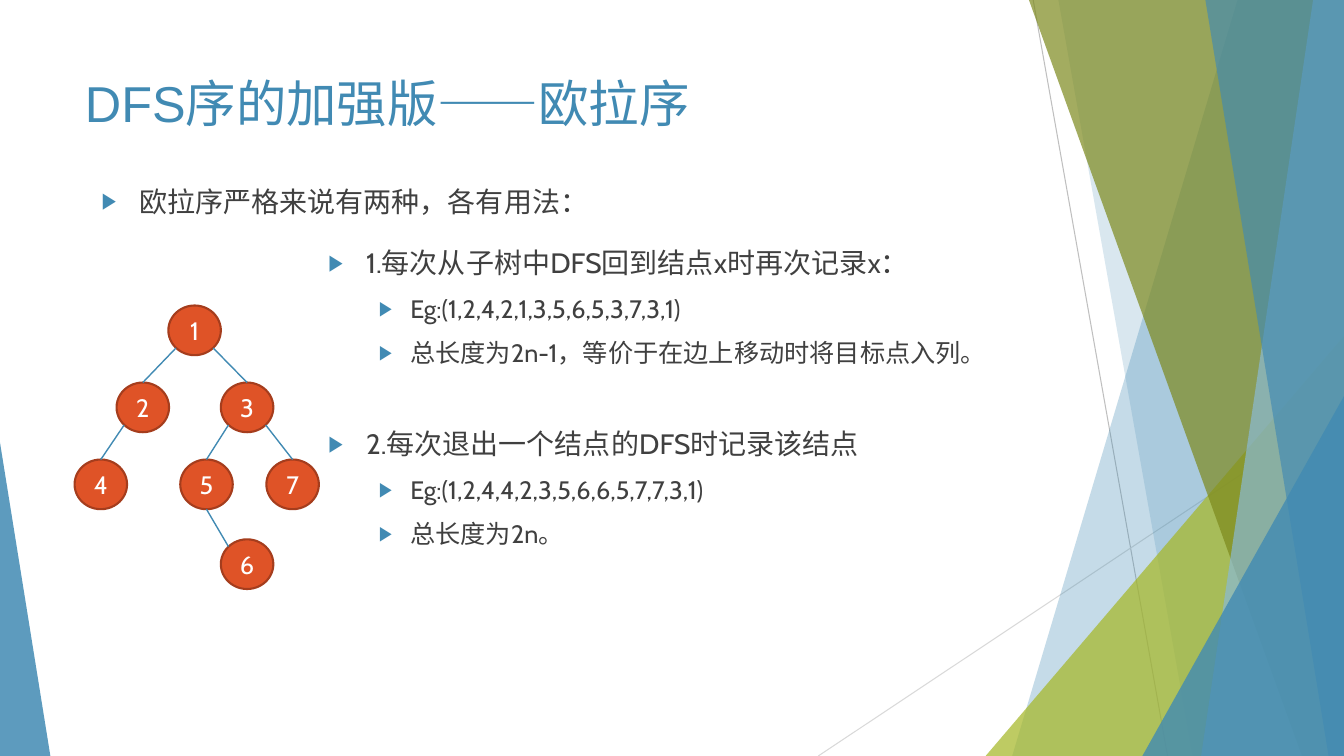
import pptx
import pptx.dml.color
import pptx.enum.shapes
import pptx.enum.text
import pptx.oxml.ns
import pptx.oxml.xmlchemy
import pptx.util
from lxml import etree

Pt = pptx.util.Pt
qn = pptx.oxml.ns.qn
rgb = pptx.dml.color.RGBColor.from_string
Shape = pptx.enum.shapes.MSO_SHAPE
Anchor = pptx.enum.text.MSO_ANCHOR
Align = pptx.enum.text.PP_ALIGN


class Theme:
    blue, sky = "418AB3", "8ABAD4"
    lime, olive = "A6B727", "7D891D"
    red, rust = "DF5327", "A53D1D"
    ink, white = "404040", "FFFFFF"
    gray, pale = "BFBFBF", "D9D9D9"
    head, body = "Arial", "Cabin"
    title, main, sub = 36, 20, 18


def add_line(x1, y1, x2, y2, color, width):
    line = slide.shapes.add_connector(
        pptx.enum.shapes.MSO_CONNECTOR.STRAIGHT, Pt(x1), Pt(y1), Pt(x2), Pt(y2))
    line.line.color.rgb = rgb(color)
    line.line.width = Pt(width)
    etree.SubElement(line._element.spPr, qn("a:effectLst"))
    return line


def add_list(left, top, width, height, rows):
    """Each row is (level, space before, text)."""
    box = slide.shapes.add_textbox(Pt(left), Pt(top), Pt(width), Pt(height))
    frame = box.text_frame
    frame.word_wrap = True
    frame.text = "\n".join(text for _, _, text in rows)
    for para, (level, space, _) in zip(frame.paragraphs, rows):
        para.level = level
        para.space_before = Pt(space)
        font = para.runs[0].font
        font.name = Theme.body
        font.size = Pt((Theme.main, Theme.sub)[level])
        font.color.rgb = rgb(Theme.ink)
        margin, hang = ((27, 27), (58.5, 22.5))[level]
        props = para._p.get_or_add_pPr()
        props.set("marL", str(Pt(margin)))
        props.set("indent", str(-Pt(hang)))
        tint = etree.SubElement(props, qn("a:buClr"))
        etree.SubElement(tint, qn("a:srgbClr"), val=Theme.blue)
        etree.SubElement(props, qn("a:buSzPct"), val="80000")
        etree.SubElement(props, qn("a:buFont"), typeface=Theme.head)
        etree.SubElement(props, qn("a:buChar"), char="▶")


deck = pptx.Presentation()
deck.slide_width, deck.slide_height = Pt(960), Pt(540)
slide = deck.slides.add_slide(deck.slide_layouts[5])

# Background lines
add_line(738, 0, 834, 540, Theme.gray, 0.75)
add_line(960, 290, 584.5, 540, Theme.pale, 0.75)

# Translucent facets: colour, opacity in percent, corners
facets = [
    (Theme.blue, 30, [(884, 0), (960, 0), (960, 540), (723, 540)]),
    (Theme.blue, 20, [(756, 0), (960, 0), (960, 540), (852, 540)]),
    (Theme.lime, 72, [(960, 240), (960, 540), (703.5, 540)]),
    (Theme.olive, 70, [(735, 0), (960, 0), (960, 540), (929.5, 540)]),
    (Theme.sky, 70, [(938, 0), (960, 0), (960, 540), (858, 540)]),
    (Theme.blue, 65, [(861, 0), (960, 0), (960, 540), (949, 540)]),
    (Theme.blue, 80, [(960, 283), (960, 540), (816.5, 540)]),
    (Theme.blue, 85, [(0, 316), (35.5, 540), (0, 540)]),
]
for color, alpha, points in facets:
    path = slide.shapes.build_freeform(*points[0], scale=float(Pt(1)))
    path.add_line_segments(points[1:], close=True)
    facet = path.convert_to_shape()
    facet.shadow.inherit = False
    facet.fill.solid()
    facet.fill.fore_color.rgb = rgb(color)
    facet.line.fill.background()
    tint = next(facet._element.spPr.iter(qn("a:srgbClr")))
    etree.SubElement(tint, qn("a:alpha"), val=str(alpha * 1000))

# Title
title = slide.shapes.title
title.left, title.top, title.width, title.height = Pt(53.5), Pt(48), Pt(677), Pt(68)
frame = title.text_frame
frame.text = "DFS序的加强版——欧拉序"
frame.auto_size = pptx.enum.text.MSO_AUTO_SIZE.NONE
frame.vertical_anchor = Anchor.TOP
para = frame.paragraphs[0]
para.alignment = Align.LEFT
font = para.runs[0].font
font.name = Theme.head
font.size = Pt(Theme.title)
font.color.rgb = rgb(Theme.blue)

# Two kinds of Euler tour
add_list(227.5, 172, 494, 345, [
    (0, 10, "1.每次从子树中DFS回到结点x时再次记录x："),
    (1, 10, "Eg:(1,2,4,2,1,3,5,6,5,3,7,3,1)"),
    (1, 10, "总长度为2n-1，等价于在边上移动时将目标点入列。"),
    (0, 42, "2.每次退出一个结点的DFS时记录该结点"),
    (1, 10, "Eg:(1,2,4,4,2,3,5,6,6,5,7,7,3,1)"),
    (1, 10, "总长度为2n。"),
])

# Tree nodes: centre of each
wide, high = 37.5, 35.5
spots = {1: (139, 236), 2: (102, 291), 3: (176.5, 291), 4: (72, 346),
         5: (147.5, 346), 6: (176.5, 403), 7: (209, 346)}
nodes = {}
for name, (x, y) in spots.items():
    node = slide.shapes.add_shape(
        Shape.OVAL, Pt(x - wide / 2), Pt(y - high / 2), Pt(wide), Pt(high))
    node.shadow.inherit = False
    node.fill.solid()
    node.fill.fore_color.rgb = rgb(Theme.red)
    node.line.color.rgb = rgb(Theme.rust)
    node.line.width = Pt(1.5)
    frame = node.text_frame
    frame.margin_left = frame.margin_right = 0
    frame.margin_top = frame.margin_bottom = 0
    frame.vertical_anchor = Anchor.MIDDLE
    frame.text = str(name)
    para = frame.paragraphs[0]
    para.alignment = Align.CENTER
    font = para.runs[0].font
    font.name = Theme.body
    font.size = Pt(Theme.sub)
    font.color.rgb = rgb(Theme.white)
    nodes[name] = node

# Tree edges: parent, child, and the rim point of each, in radii from the centre
diag = 0.71
left, right, top, base = (-diag, diag), (diag, diag), (0, -1), (0, 1)
edges = [(1, 2, left, top), (2, 4, left, top), (1, 3, right, top),
         (3, 5, left, top), (5, 6, base, (-diag, -diag)), (3, 7, right, top)]
for par, kid, start, end in edges:
    ends = [spots[node][i] + rim[i] * (wide, high)[i] / 2
            for node, rim in ((par, start), (kid, end)) for i in (0, 1)]
    edge = add_line(*ends, Theme.blue, 1)
    if end == top:
        edge.end_connect(nodes[kid], 0)

# Lead sentence
add_list(65.5, 128, 677, 41, [(0, 10, "欧拉序严格来说有两种，各有用法：")])

deck.save("out.pptx")
